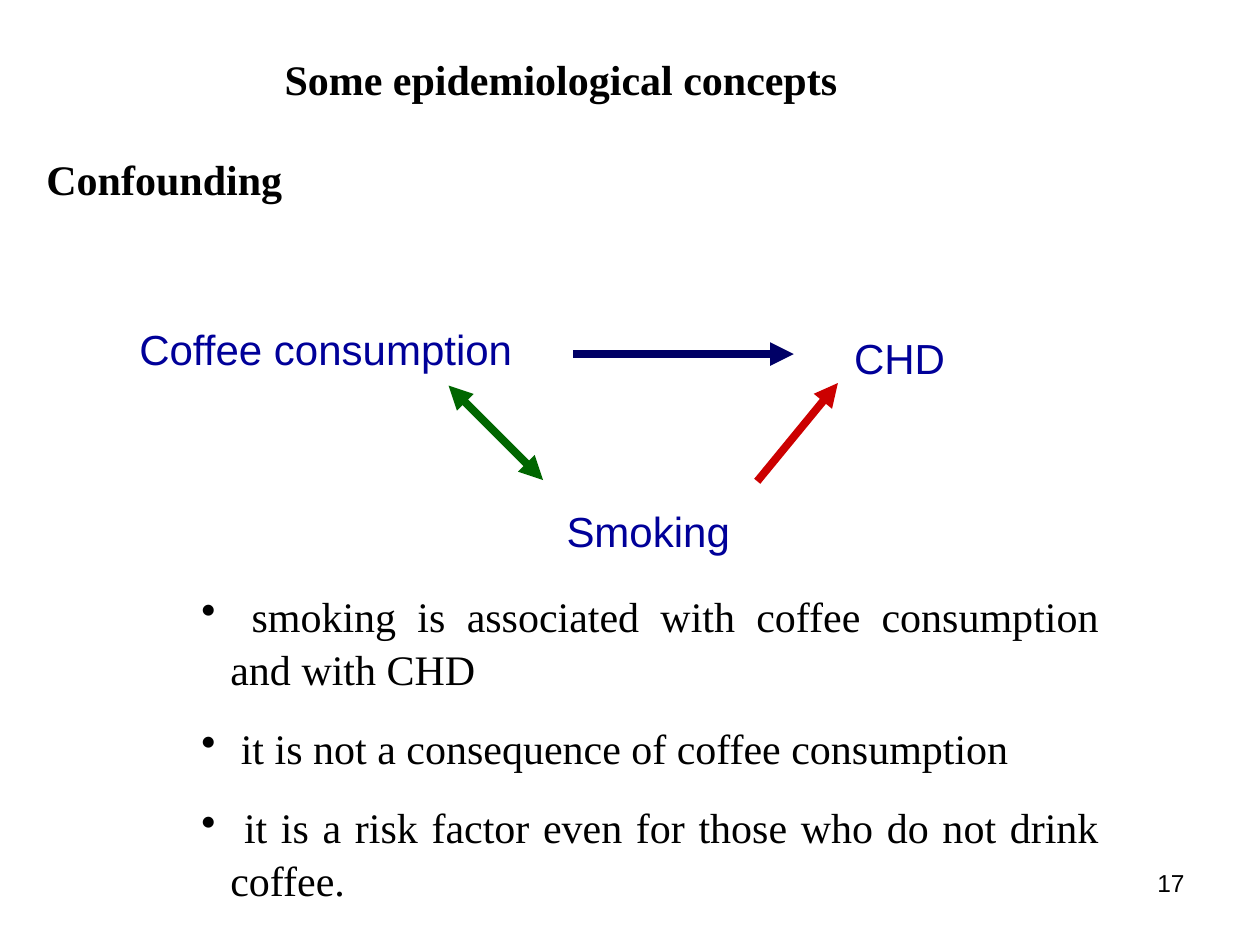
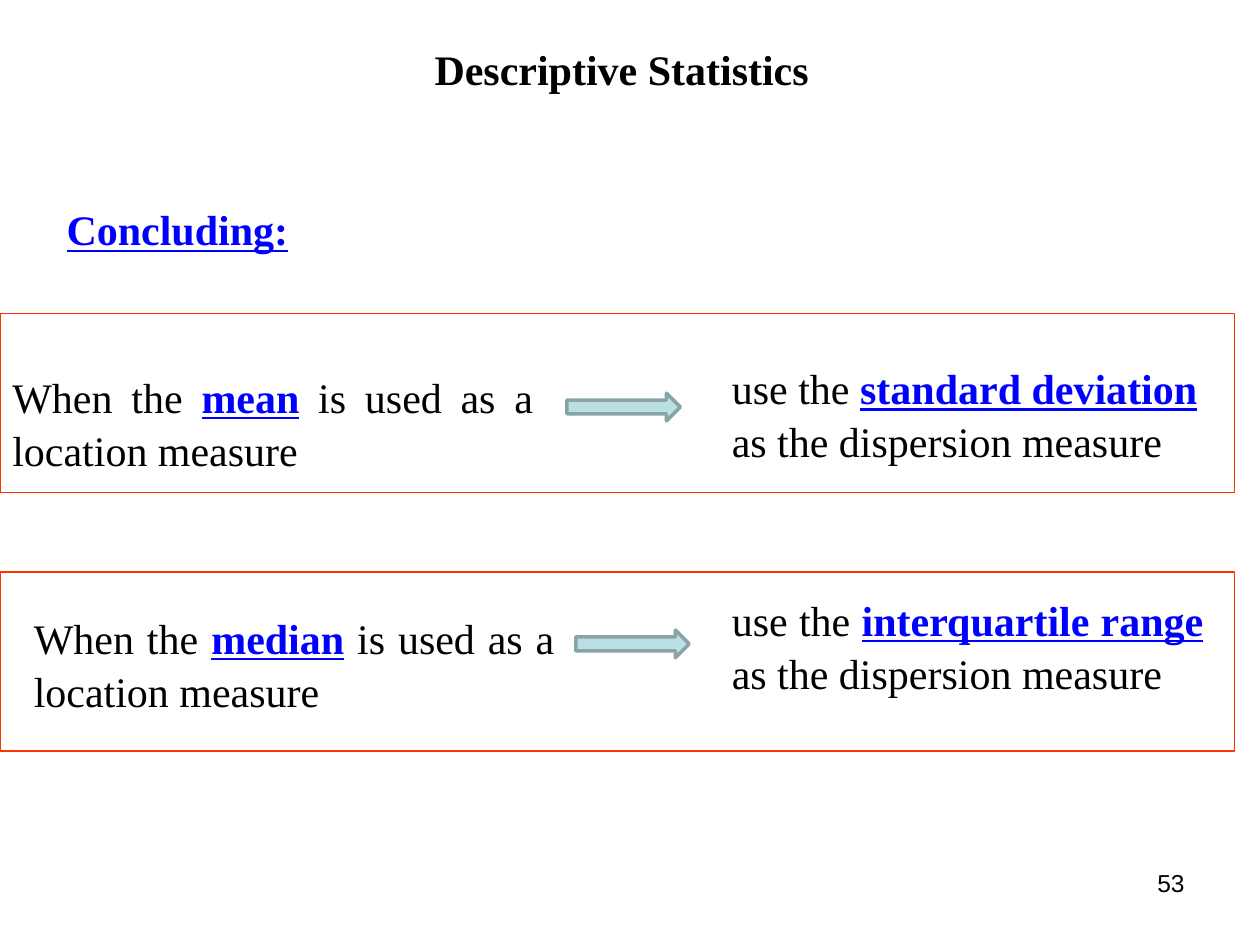
from lxml.etree import SubElement
from pptx import Presentation
from pptx.dml.color import RGBColor
from pptx.enum.shapes import MSO_CONNECTOR, MSO_SHAPE
from pptx.enum.text import PP_ALIGN
from pptx.oxml.ns import qn
from pptx.util import Inches, Pt

COLS, ROWS = 100, 75  # grid cells across and down each slide
COLORS = {
    "black": "000000", "label": "000099", "blue": "0000FF", "navy": "000066",
    "green": "006600", "red": "CC0000", "frame": "FF3300",
    "aqua": "BBE0E3", "slate": "89A4A7",
}
SERIF, SANS = "Times New Roman", "Arial"
LEFT, RIGHT = PP_ALIGN.LEFT, PP_ALIGN.RIGHT
CENTER, FULL = PP_ALIGN.CENTER, PP_ALIGN.JUSTIFY


def tint(name):
    return RGBColor.from_string(COLORS[name])


class Deck:
    def __init__(self):
        self.prs = Presentation()
        self.prs.slide_width, self.prs.slide_height = Inches(10), Inches(7.5)
        self.slide = None

    def grid(self, x, y):
        """Turn columns and rows into lengths."""
        return (round(x * self.prs.slide_width / COLS),
                round(y * self.prs.slide_height / ROWS))

    def page(self, number):
        self.slide = self.prs.slides.add_slide(self.prs.slide_layouts[6])
        self.text((71.7, 68.3, 23.3, 5.2), [number], font=SANS, size=14, align=RIGHT)

    def text(self, box, lines, font=SERIF, size=24, color="black", bold=None,
             under=None, align=LEFT, inset=True, bullet=False):
        """Each line is a string, or a list of parts whose odd ones are key terms."""
        shape = self.slide.shapes.add_textbox(*self.grid(*box[:2]), *self.grid(*box[2:]))
        frame = shape.text_frame
        frame.word_wrap = True
        if not inset:
            frame.margin_left = frame.margin_right = 0
            frame.margin_top = frame.margin_bottom = 0
        for i, line in enumerate(lines):
            para = frame.add_paragraph() if i else frame.paragraphs[0]
            para.alignment, para.line_spacing = align, 1.05
            if i:
                para.space_before = Pt(15)
            if bullet:
                self.bullet(para)
            para.font.name, para.font.size = font, Pt(size)
            para.font.bold, para.font.underline = bold, under
            para.font.color.rgb = tint(color)
            for j, part in enumerate([line] if isinstance(line, str) else line):
                run = para.add_run()
                run.text = part
                if j % 2:
                    run.font.bold = run.font.underline = True
                    run.font.color.rgb = tint("blue")

    def bullet(self, para):
        props = para._p.get_or_add_pPr()
        props.set("marL", str(Inches(0.23)))
        props.set("indent", str(-Inches(0.23)))
        SubElement(props, qn("a:buChar")).set("char", "•")

    def title(self, x, y, width, words):
        self.text((x, y, width, 5), [words], bold=True)

    def label(self, x, y, width, words):
        self.text((x, y, width, 4), [words], font=SANS, color="label",
                  align=CENTER, inset=False)

    def arrow(self, start, end, color, ends=("tailEnd",)):
        line = self.slide.shapes.add_connector(
            MSO_CONNECTOR.STRAIGHT, *self.grid(*start), *self.grid(*end))
        line.line.color.rgb, line.line.width = tint(color), Pt(4.5)
        for tag in ends:
            SubElement(line.line._get_or_add_ln(), qn("a:" + tag)).set("type", "triangle")
        SubElement(line._element.spPr, qn("a:effectLst"))

    def shape(self, kind, box, line, width, fill=None):
        shape = self.slide.shapes.add_shape(
            kind, *self.grid(*box[:2]), *self.grid(*box[2:]))
        shape.shadow.inherit = False
        shape.line.color.rgb, shape.line.width = tint(line), Pt(width)
        if fill:
            shape.fill.solid()
            shape.fill.fore_color.rgb = tint(fill)
        else:
            shape.fill.background()


def confound(deck):
    deck.page("17")
    deck.title(21.6, 3.6, 51.2, "Some epidemiological concepts")
    deck.title(2.7, 11.5, 86.6, "Confounding")

    # Triangle of causes
    deck.label(10.1, 25.5, 31.5, "Coffee consumption")
    deck.label(63.1, 26.2, 16.6, "CHD")
    deck.label(37.3, 39.9, 28.3, "Smoking")
    deck.arrow((35.6, 30.6), (43.1, 38.1), "green", ("headEnd", "tailEnd"))
    deck.arrow((45.5, 28.1), (63, 28.1), "navy")
    deck.arrow((60.1, 38.2), (66.5, 30.4), "red")

    # Traits of a confounder
    deck.text((15, 46.2, 73.2, 25.2), [
        " smoking is associated with coffee consumption and with CHD",
        " it is not a consequence of coffee consumption",
        " it is a risk factor even for those who do not drink coffee.",
    ], align=FULL, bullet=True)


def conclude(deck):
    deck.page("53")
    deck.title(33.5, 2.8, 36.2, "Descriptive Statistics")
    deck.text((4.3, 15.5, 22, 5), ["Concluding:"], color="blue", bold=True, under=True)

    # One framed rule per location measure
    rules = [
        (24.9, "mean", (0, 28.8), "standard deviation", (57.1, 28.1), 41, LEFT, (45, 31.2)),
        (45.4, "median", (1.7, 47.9), "interquartile range", (57.1, 46.5), 39.4, FULL,
         (45.7, 50)),
    ]
    for top, place, at, spread, use, width, align, tip in rules:
        deck.text((*at, 43.3, 9), [["When the ", place, " is used as a location measure"]],
                  align=FULL)
        deck.text((*use, width, 9), [["use the ", spread, " as the dispersion measure"]],
                  align=align)
        deck.shape(MSO_SHAPE.RECTANGLE, (0, top, 98, 14.2), "frame", 0.75)
        deck.shape(MSO_SHAPE.RIGHT_ARROW, (*tip, 9, 2.2), "slate", 2, "aqua")


def main():
    deck = Deck()
    confound(deck)
    conclude(deck)
    deck.prs.save("out.pptx")


if __name__ == "__main__":
    main()
